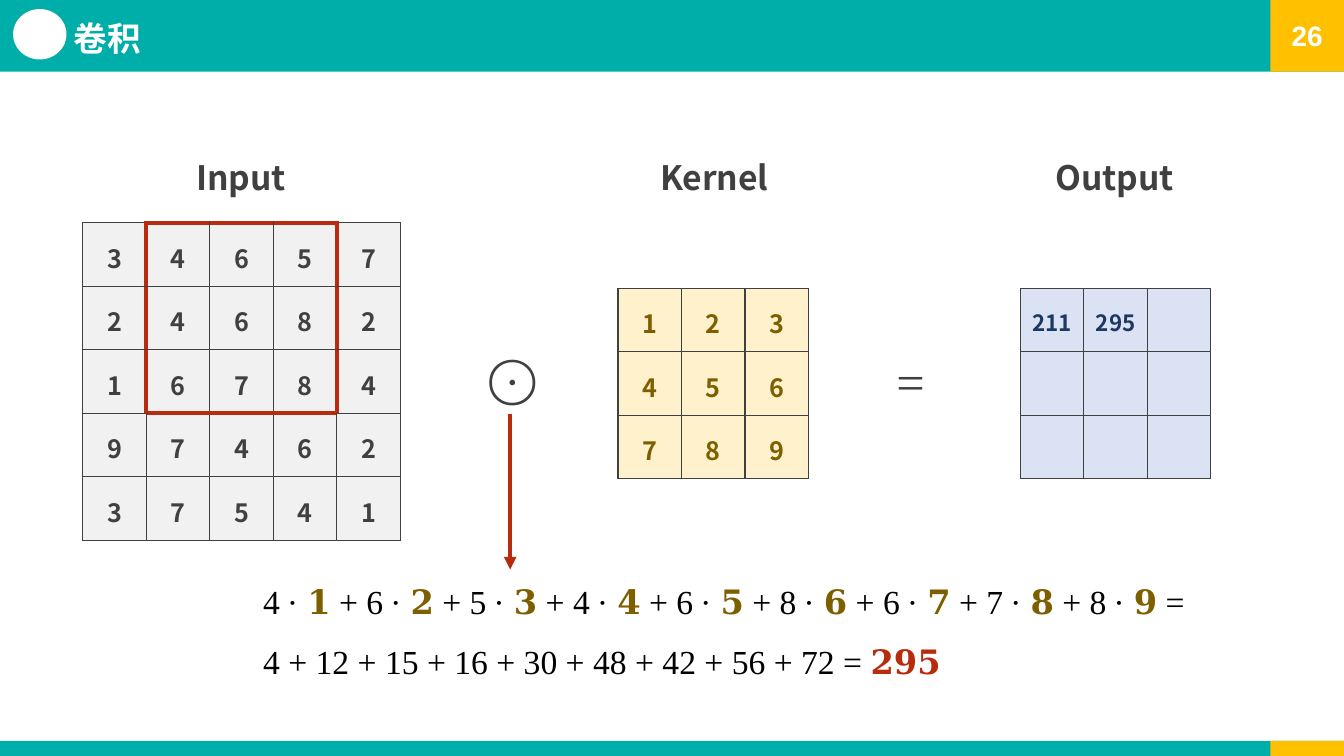
"""Build a slide that works through one step of a convolution."""
from dataclasses import dataclass
from typing import NamedTuple

from lxml import etree as xml
from pptx import Presentation
from pptx import slide as sl
from pptx import util as u
from pptx.dml import color as dc
from pptx.enum import shapes as es
from pptx.enum import text as et
from pptx.oxml import ns
from pptx.text import text as tx

PX = 9144


@dataclass(frozen=True)
class Theme:
    teal: str = "00AEA9"
    amber: str = "FFC000"
    white: str = "FFFFFF"
    black: str = "000000"
    ink: str = "404040"
    red: str = "B82B0E"
    gold: str = "7E5F00"
    navy: str = "1F3863"
    gray: str = "F1F1F1"
    cream: str = "FFF1CC"
    sky: str = "DAE2F3"
    sans: str = "Noto Sans CJK SC"
    serif: str = "Times New Roman"
    plain: str = "Arial"
    sign: int = 36
    head: int = 24
    page: int = 20
    cell: int = 18
    small: int = 16


T = Theme()


class Box(NamedTuple):
    x: int
    y: int
    w: int
    h: int


class Part(NamedTuple):
    text: str
    color: str
    gap: float = 0


class Block(NamedTuple):
    box: Box
    fill: str
    kind: es.MSO_SHAPE = es.MSO_SHAPE.RECTANGLE


class Label(NamedTuple):
    box: Box
    text: str
    font: str
    size: int
    bold: bool = False
    gap: float = 0


class Grid(NamedTuple):
    x: int
    y: int
    rows: list[list[int | None]]
    fill: str
    color: str
    size: int
    top: int
    frame: frozenset[tuple[int, int]] = frozenset()


STEP = 63
SIDE = 3
SHIFT = 1
INPUT = [[3, 4, 6, 5, 7], [2, 4, 6, 8, 2], [1, 6, 7, 8, 4], [9, 7, 4, 6, 2], [3, 7, 5, 4, 1]]
KERNEL = [[1, 2, 3], [4, 5, 6], [7, 8, 9]]
PAIRS = [(INPUT[r][c + SHIFT], KERNEL[r][c]) for r in range(SIDE) for c in range(SIDE)]
TOTAL = sum(a * b for a, b in PAIRS)
OUTPUT = [[211, TOTAL, None], [None] * SIDE, [None] * SIDE]
FRAME = frozenset((r, c + SHIFT) for r in range(SIDE) for c in range(SIDE))

BLOCKS = [
    Block(Box(0, 735, 1333, 15), T.teal),
    Block(Box(1260, 735, 73, 15), T.amber),
    Block(Box(0, 0, 1333, 71), T.teal),
    Block(Box(13, 9, 53, 50), T.white, es.MSO_SHAPE.OVAL),
]
BADGE = Block(Box(1260, 0, 73, 71), T.amber)
GRIDS = [
    Grid(82, 221, INPUT, T.gray, T.ink, T.cell, 16, FRAME),
    Grid(613, 286, KERNEL, T.cream, T.gold, T.cell, 16),
    Grid(1012, 286, OUTPUT, T.sky, T.navy, T.small, 17),
]
LABELS = [
    Label(Box(195, 155, 93, 43), "Input", T.sans, T.head, True, -0.1),
    Label(Box(655, 155, 110, 43), "Kernel", T.sans, T.head, True, -0.1),
    Label(Box(1047, 155, 123, 43), "Output", T.sans, T.head, True, -0.1),
    Label(Box(484, 346, 46, 63), "⨀", T.serif, T.sign),
    Label(Box(889, 346, 40, 63), "=", T.serif, T.sign),
]


def place(box: Box) -> list[int]:
    """Turn a box in px into EMU."""
    return [n * PX for n in box]


def write(frame: tx.TextFrame, lines: list[list[Part]], *, font: str, size: int,
          bold: bool = False, align: et.PP_ALIGN = et.PP_ALIGN.LEFT,
          before: float = 0, lead: float = 1) -> None:
    """Fill a frame with lines made of coloured parts."""
    for i, parts in enumerate(lines):
        para = frame.add_paragraph() if i else frame.paragraphs[0]
        para.alignment = align
        para.line_spacing = lead
        para.space_before = u.Pt(before if i else 0)
        for part in parts:
            run = para.add_run()
            run.text = part.text
            run.font.size, run.font.bold, run.font.name = u.Pt(size), bold, font
            run.font.color.rgb = dc.RGBColor.from_string(part.color)
            props = run.font._element
            props.set("spc", str(round(part.gap * 100)))
            xml.SubElement(props, ns.qn("a:ea"), typeface=font)


def add_block(page: sl.Slide, block: Block) -> tx.TextFrame:
    """Draw a flat filled shape and return its frame."""
    shape = page.shapes.add_shape(block.kind, *place(block.box))
    shape.shadow.inherit = False
    shape.fill.solid()
    shape.fill.fore_color.rgb = dc.RGBColor.from_string(block.fill)
    shape.line.fill.background()
    shape.text_frame.vertical_anchor = et.MSO_ANCHOR.MIDDLE
    return shape.text_frame


def add_frame(page: sl.Slide, box: Box, top: int = 0) -> tx.TextFrame:
    """Add a wrapping text box with only a top inset."""
    frame = page.shapes.add_textbox(*place(box)).text_frame
    frame.word_wrap = True
    frame.margin_left = frame.margin_right = frame.margin_bottom = 0
    frame.margin_top = top * PX
    return frame


def add_grid(page: sl.Slide, grid: Grid) -> None:
    """Draw a number grid with a red edge around its framed cells."""
    count = len(grid.rows)
    side = count * STEP
    table = page.shapes.add_table(count, count, *place(Box(grid.x, grid.y, side, side))).table
    table.first_row = table.horz_banding = False
    for line in [*table.rows]:
        line.height = STEP * PX
    for line in [*table.columns]:
        line.width = STEP * PX
    for r, row in enumerate(grid.rows):
        for c, value in enumerate(row):
            cell = table.cell(r, c)
            cell.margin_left = cell.margin_right = cell.margin_bottom = 0
            cell.margin_top = grid.top * PX
            props = cell._tc.get_or_add_tcPr()
            for edge, down, over in (("L", 0, -1), ("R", 0, 1), ("T", -1, 0), ("B", 1, 0)):
                hot = ((r, c) in grid.frame) != ((r + down, c + over) in grid.frame)
                line = xml.SubElement(props, ns.qn(f"a:ln{edge}"), w=str(u.Pt(3 if hot else 1)))
                fill = xml.SubElement(line, ns.qn("a:solidFill"))
                xml.SubElement(fill, ns.qn("a:srgbClr"), val=T.red if hot else T.ink)
            cell.fill.solid()
            cell.fill.fore_color.rgb = dc.RGBColor.from_string(grid.fill)
            if value is not None:
                write(cell.text_frame, [[Part(str(value), grid.color)]], font=T.sans,
                      size=grid.size, bold=True, align=et.PP_ALIGN.CENTER)


def add_arrow(page: sl.Slide, x: int, top: int, end: int) -> None:
    """Draw a red arrow that points down."""
    arrow = page.shapes.add_connector(es.MSO_CONNECTOR.STRAIGHT, *place(Box(x, top, x, end)))
    arrow.line.width = u.Pt(3)
    arrow.line.color.rgb = dc.RGBColor.from_string(T.red)
    xml.SubElement(arrow.line._get_or_add_ln(), ns.qn("a:tailEnd"), type="triangle")
    xml.SubElement(arrow._element.spPr, ns.qn("a:effectLst"))


def make_sum() -> list[list[Part]]:
    """Spell out the products and their total."""
    thick = str.maketrans("0123456789", "𝟎𝟏𝟐𝟑𝟒𝟓𝟔𝟕𝟖𝟗")
    terms: list[Part] = []
    for i, (a, b) in enumerate(PAIRS):
        terms += [Part(f"{'+ ' if i else ''}{a} ", T.black), Part("∙ ", T.black, 0.8),
                  Part(f"{b} ".translate(thick), T.gold)]
    terms.append(Part("=", T.black))
    added = " + ".join(str(a * b) for a, b in PAIRS)
    return [terms, [Part(f"{added} = ", T.black), Part(str(TOTAL).translate(thick), T.red)]]


def main() -> None:
    """Build and save the slide."""
    deck = Presentation()
    deck.slide_width, deck.slide_height = 1333 * PX, 750 * PX
    page = deck.slides.add_slide(deck.slide_layouts[6])
    for block in BLOCKS:
        add_block(page, block)
    write(add_block(page, BADGE), [[Part("26", T.white)]], font=T.plain, size=T.page,
          bold=True, align=et.PP_ALIGN.CENTER)
    title = add_frame(page, Box(73, 8, 955, 50))
    title.vertical_anchor = et.MSO_ANCHOR.BOTTOM
    write(title, [[Part("卷积", T.white)]], font=T.sans, size=T.head, bold=True, lead=0.9)
    for grid in GRIDS:
        add_grid(page, grid)
    for label in LABELS:
        write(add_frame(page, label.box, 1), [[Part(label.text, T.ink, label.gap)]],
              font=label.font, size=label.size, bold=label.bold)
    write(add_frame(page, Box(261, 555, 917, 123), 21), make_sum(), font=T.serif,
          size=T.head, before=14.4)
    add_arrow(page, 506, 411, 565)
    deck.save("out.pptx")


if __name__ == "__main__":
    main()
